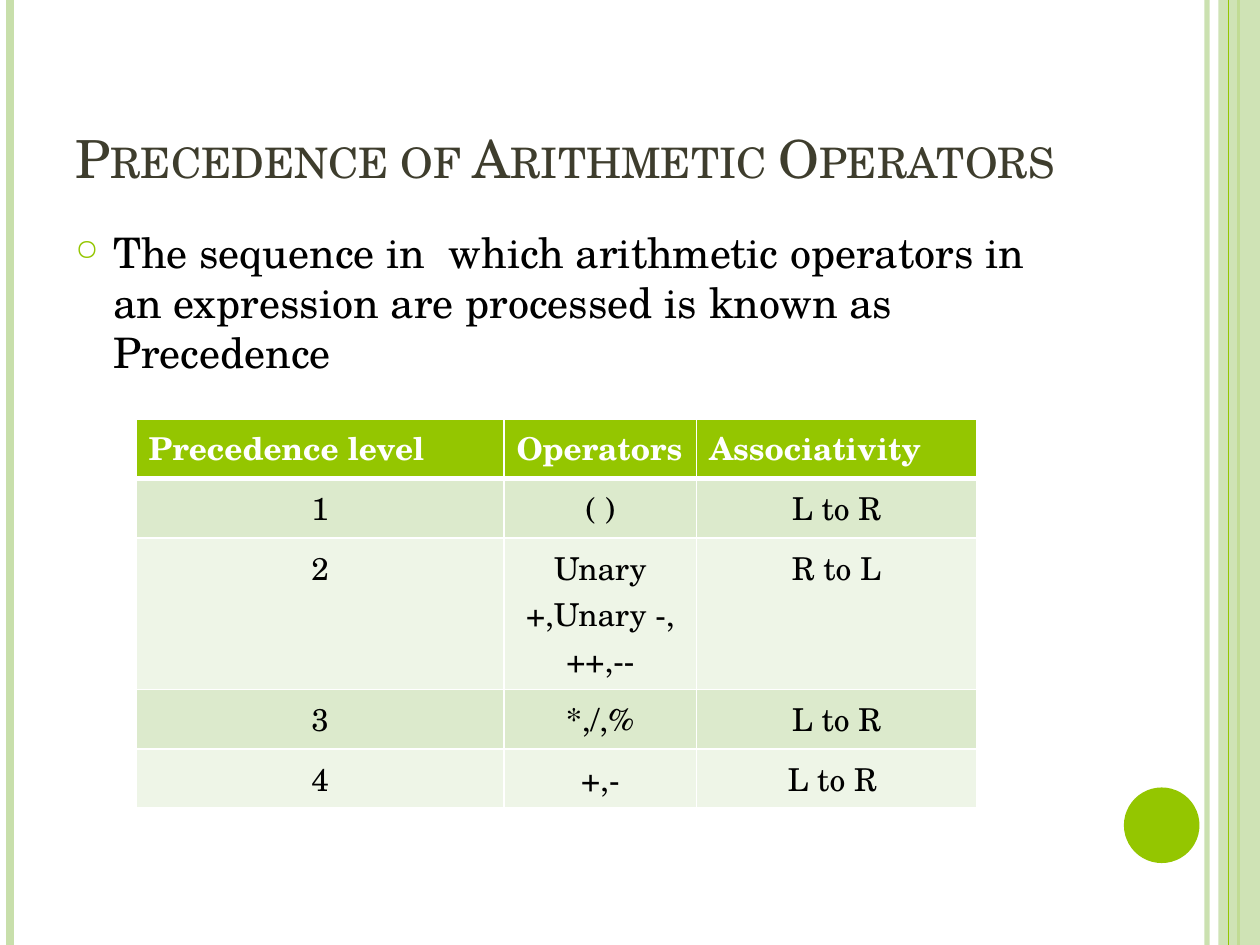
"""Build the slide on the precedence of arithmetic operators."""
from pptx import Presentation
from pptx import util as u
from pptx.dml.color import RGBColor
from pptx.enum import shapes, text
from pptx.oxml.ns import qn
from lxml import etree

GREEN = RGBColor(0x94, 0xC6, 0x00)
PALE_GREEN = RGBColor(0xC8, 0xDF, 0xAB)
BAND_DARK = RGBColor(0xDC, 0xEA, 0xCC)
BAND_LIGHT = RGBColor(0xEE, 0xF5, 0xE7)
OLIVE = RGBColor(0x3E, 0x3D, 0x2D)
BLACK = RGBColor(0, 0, 0)
WHITE = RGBColor(0xFF, 0xFF, 0xFF)
FONT = "TeX Gyre Schola"

LEVELS = [
    ("Precedence level", "Operators", "Associativity"),
    ("1", "( )", "L to R"),
    ("2", "Unary +,Unary -,++,--", "R to L"),
    ("3", "*,/,%", "L to R"),
    ("4", "+,-", "L to R "),
]


def child(parent, tag, **attributes):
    element = etree.SubElement(parent, qn(tag))
    for key, value in attributes.items():
        element.set(key, str(value))
    return element


class PrecedenceSlide:
    def __init__(self, deck):
        self.slide = deck.slides.add_slide(deck.slide_layouts[5])
        self.shapes = self.slide.shapes

    def style(self, paragraph, size, color, bold=False):
        font = paragraph.font
        font.name, font.size, font.bold = FONT, u.Pt(size), bold
        font.color.rgb = color

    def set_alpha(self, fill_owner, percent):
        color = next(fill_owner.iter(qn("a:srgbClr")))
        child(color, "a:alpha", val=percent * 1000)

    def stripe(self, x, color, width, alpha=100):
        line = self.shapes.add_connector(
            shapes.MSO_CONNECTOR.STRAIGHT, u.Inches(x), 0, u.Inches(x), u.Inches(7.5))
        line.line.color.rgb = color
        line.line.width = u.Pt(width)
        properties = line._element.spPr
        if alpha < 100:
            self.set_alpha(properties, alpha)
        child(properties, "a:effectLst")

    def shape(self, kind, box, color, alpha=100):
        shape = self.shapes.add_shape(kind, *map(u.Inches, box))
        shape.shadow.inherit = False
        shape.fill.solid()
        shape.fill.fore_color.rgb = color
        shape.line.fill.background()
        if alpha < 100:
            self.set_alpha(shape._element.spPr, alpha)

    def title(self, wording, box):
        title = self.shapes.title
        title.left, title.top, title.width, title.height = map(u.Inches, box)
        title.text = wording
        frame = title.text_frame
        frame.vertical_anchor = text.MSO_ANCHOR.BOTTOM
        frame.auto_size = text.MSO_AUTO_SIZE.NONE
        paragraph = frame.paragraphs[0]
        paragraph.alignment = text.PP_ALIGN.LEFT
        self.style(paragraph, 30, OLIVE)
        paragraph.runs[0]._r.get_or_add_rPr().set("cap", "small")

    def bullet(self, wording, box):
        frame = self.shapes.add_textbox(*map(u.Inches, box)).text_frame
        frame.word_wrap = True
        paragraph = frame.paragraphs[0]
        paragraph.text = wording
        paragraph.space_before = u.Pt(6)
        paragraph.line_spacing = u.Pt(28.6)
        properties = paragraph._p.get_or_add_pPr()
        properties.set("marL", str(u.Inches(0.3)))
        properties.set("indent", str(u.Inches(-0.3)))
        child(child(properties, "a:buClr"), "a:srgbClr", val=GREEN)
        child(properties, "a:buSzPct", val=70000)
        child(properties, "a:buChar", char="○")
        self.style(paragraph, 24, BLACK)

    def borders(self, cell, bottom):
        properties = cell._tc.get_or_add_tcPr()
        widths = {"a:lnL": 1, "a:lnR": 1, "a:lnT": 1, "a:lnB": bottom}
        for position, (side, width) in enumerate(widths.items()):
            line = child(properties, side, w=u.Pt(width))
            child(child(line, "a:solidFill"), "a:srgbClr", val=WHITE)
            properties.insert(position, line)

    def cell(self, cell, wording, header, fill):
        cell.text = wording
        cell.fill.solid()
        cell.fill.fore_color.rgb = fill
        paragraph = cell.text_frame.paragraphs[0]
        paragraph.alignment = text.PP_ALIGN.LEFT if header else text.PP_ALIGN.CENTER
        paragraph.line_spacing = u.Pt(26.5)
        self.style(paragraph, 18, WHITE if header else BLACK, header)
        self.borders(cell, 3 if header else 1)

    def table(self, rows, box, widths, heights):
        table = self.shapes.add_table(
            len(rows), len(widths), *map(u.Inches, box)).table
        for column, width in zip(table.columns, widths):
            column.width = u.Inches(width)
        for index, (row, height) in enumerate(zip(rows, heights)):
            table.rows[index].height = u.Inches(height)
            band = BAND_DARK if index % 2 else BAND_LIGHT
            for column, wording in enumerate(row):
                self.cell(table.cell(index, column), wording,
                          index == 0, band if index else GREEN)


def main():
    deck = Presentation()
    deck.slide_width, deck.slide_height = u.Inches(10), u.Inches(7.5)
    page = PrecedenceSlide(deck)
    page.stripe(9.58, PALE_GREEN, 3, alpha=93)
    page.stripe(0.08, PALE_GREEN, 4.5)
    page.stripe(9.83, GREEN, 1.5)
    page.shape(shapes.MSO_SHAPE.RECTANGLE, (9.67, 0, 0.33, 7.5), PALE_GREEN, alpha=87)
    page.stripe(9.75, GREEN, 0.75)
    page.shape(shapes.MSO_SHAPE.OVAL, (8.92, 6.25, 0.6, 0.6), GREEN)
    page.title("Precedence of Arithmetic Operators", (0.5, 0.3, 8.17, 1.25))
    page.bullet("The sequence in  which arithmetic operators in an expression "
                "are processed is known as Precedence", (0.5, 1.75, 8.17, 5.33))
    page.table(LEVELS, (1.08, 3.33, 6.67, 3.08), (2.92, 1.53, 2.22),
               (0.47, 0.47, 1.2, 0.47, 0.47))
    deck.save("out.pptx")


if __name__ == "__main__":
    main()
